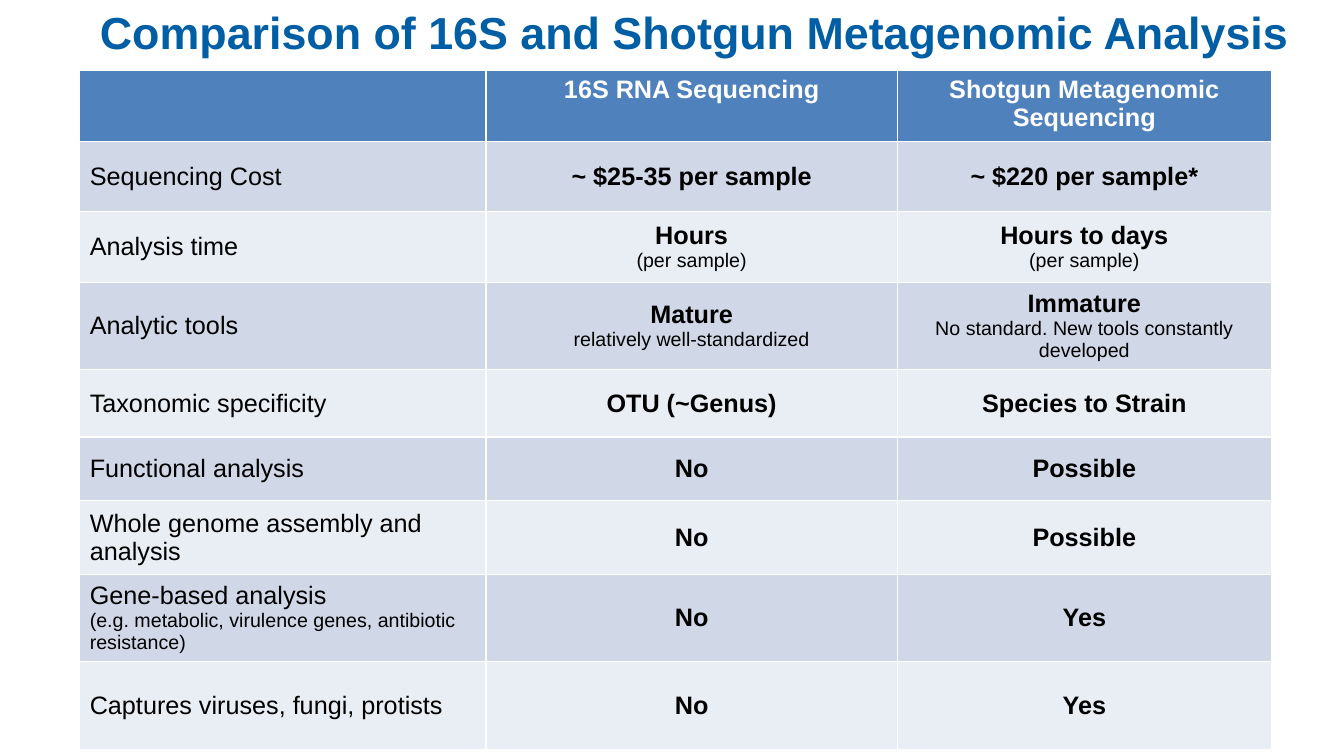
from dataclasses import dataclass

import pptx
import pptx.dml.color
import pptx.enum.text
import pptx.util

PP_ALIGN = pptx.enum.text.PP_ALIGN
ANCHOR = pptx.enum.text.MSO_ANCHOR


@dataclass(frozen=True)
class Theme:
    font: str = "Arial"
    title: str = "005EA4"
    header: str = "4F81BD"
    header_text: str = "FFFFFF"
    body_text: str = "000000"
    bands: tuple[str, str] = ("D0D8E8", "E9EDF4")
    title_size: int = 32
    main_size: int = 18
    detail_size: int = 14


@dataclass(frozen=True)
class Entry:
    main: str
    detail: str = ""


@dataclass(frozen=True)
class Row:
    height: float  # percent of the slide height
    label: Entry
    amplicon: Entry
    shotgun: Entry


THEME = Theme()
WIDTH = pptx.util.Inches(13.33)
HEIGHT = pptx.util.Inches(7.5)
TABLE_LEFT, TABLE_TOP = 5.93, 9.33
COLUMNS = (30.23, 30.61, 27.83)  # percent of the slide width

NO, YES, POSSIBLE = Entry("No"), Entry("Yes"), Entry("Possible")
PER_SAMPLE = "(per sample)"
ROWS = (
    Row(9.07, Entry(""), Entry("16S RNA Sequencing"),
        Entry("Shotgun Metagenomic Sequencing")),
    Row(9.33, Entry("Sequencing Cost"), Entry("~ $25-35 per sample"),
        Entry("~ $220 per sample*")),
    Row(9.33, Entry("Analysis time"), Entry("Hours", PER_SAMPLE),
        Entry("Hours to days", PER_SAMPLE)),
    Row(10.67, Entry("Analytic tools"),
        Entry("Mature", "relatively well-standardized"),
        Entry("Immature", "No standard. New tools constantly developed")),
    Row(8.93, Entry("Taxonomic specificity"), Entry("OTU (~Genus)"),
        Entry("Species to Strain")),
    Row(8.4, Entry("Functional analysis"), NO, POSSIBLE),
    Row(9.73, Entry("Whole genome assembly and analysis"), NO, POSSIBLE),
    Row(11.6, Entry("Gene-based analysis",
                    "(e.g. metabolic, virulence genes, antibiotic resistance)"),
        NO, YES),
    Row(11.6, Entry("Captures viruses, fungi, protists"), NO, YES),
)


def across(percent: float) -> int:
    return round(WIDTH * percent / 100)


def down(percent: float) -> int:
    return round(HEIGHT * percent / 100)


def rgb(colour: str) -> pptx.dml.color.RGBColor:
    return pptx.dml.color.RGBColor.from_string(colour)


def style(p, size: int, colour: str, bold: bool, align) -> None:
    p.alignment = align
    for r in p.runs:
        r.font.name = THEME.font
        r.font.size = pptx.util.Pt(size)
        r.font.bold = bold
        r.font.color.rgb = rgb(colour)


def add_title(s, text: str) -> None:
    sp = s.shapes.title
    sp.left, sp.top = across(6.68), 0
    sp.width, sp.height = across(90.7), down(8.53)
    tf = sp.text_frame
    tf.text = text
    tf.word_wrap = False
    tf.auto_size = pptx.enum.text.MSO_AUTO_SIZE.SHAPE_TO_FIT_TEXT
    tf.vertical_anchor = ANCHOR.TOP
    style(tf.paragraphs[0], THEME.title_size, THEME.title, True, PP_ALIGN.LEFT)


def fill_cell(cell, entry: Entry, row: int, col: int) -> None:
    is_header, is_label = row == 0, col == 0
    fill = THEME.header if is_header else THEME.bands[(row - 1) % 2]
    colour = THEME.header_text if is_header else THEME.body_text
    align = PP_ALIGN.LEFT if is_label else PP_ALIGN.CENTER
    cell.fill.solid()
    cell.fill.fore_color.rgb = rgb(fill)
    cell.vertical_anchor = ANCHOR.TOP if is_header else ANCHOR.MIDDLE
    tf = cell.text_frame
    p = tf.paragraphs[0]
    p.text = entry.main
    style(p, THEME.main_size, colour, not is_label, align)
    if entry.detail:
        p = tf.add_paragraph()
        p.text = entry.detail
        style(p, THEME.detail_size, colour, False, align)


def add_comparison(s) -> None:
    table = s.shapes.add_table(
        len(ROWS), len(COLUMNS), across(TABLE_LEFT), down(TABLE_TOP),
        across(sum(COLUMNS)), down(sum(row.height for row in ROWS))).table
    for col, width in enumerate(COLUMNS):
        table.columns[col].width = across(width)
    for i, row in enumerate(ROWS):
        table.rows[i].height = down(row.height)
        for col, entry in enumerate((row.label, row.amplicon, row.shotgun)):
            fill_cell(table.cell(i, col), entry, i, col)


def main() -> None:
    prs = pptx.Presentation()
    prs.slide_width, prs.slide_height = WIDTH, HEIGHT
    s = prs.slides.add_slide(prs.slide_layouts.get_by_name("Title Only"))
    add_comparison(s)
    add_title(s, "Comparison of 16S and Shotgun Metagenomic Analysis")
    prs.save("out.pptx")


if __name__ == "__main__":
    main()
